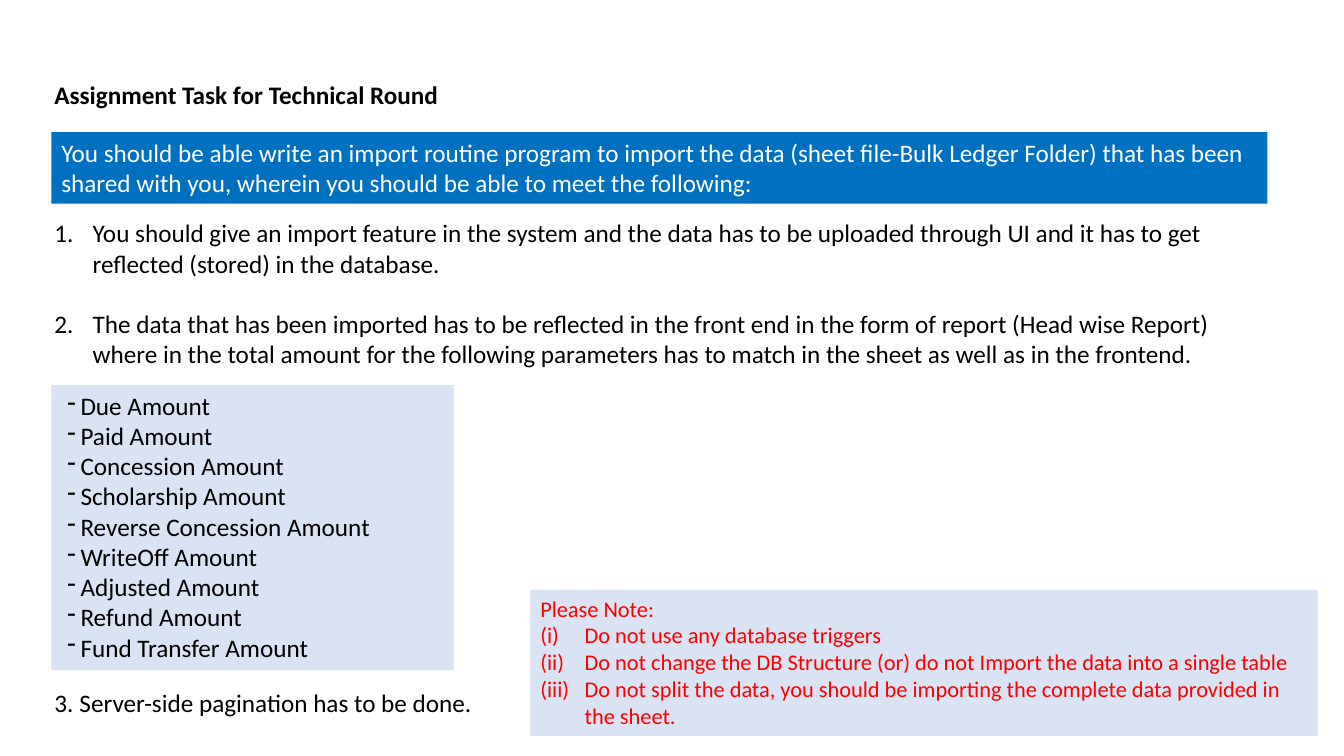
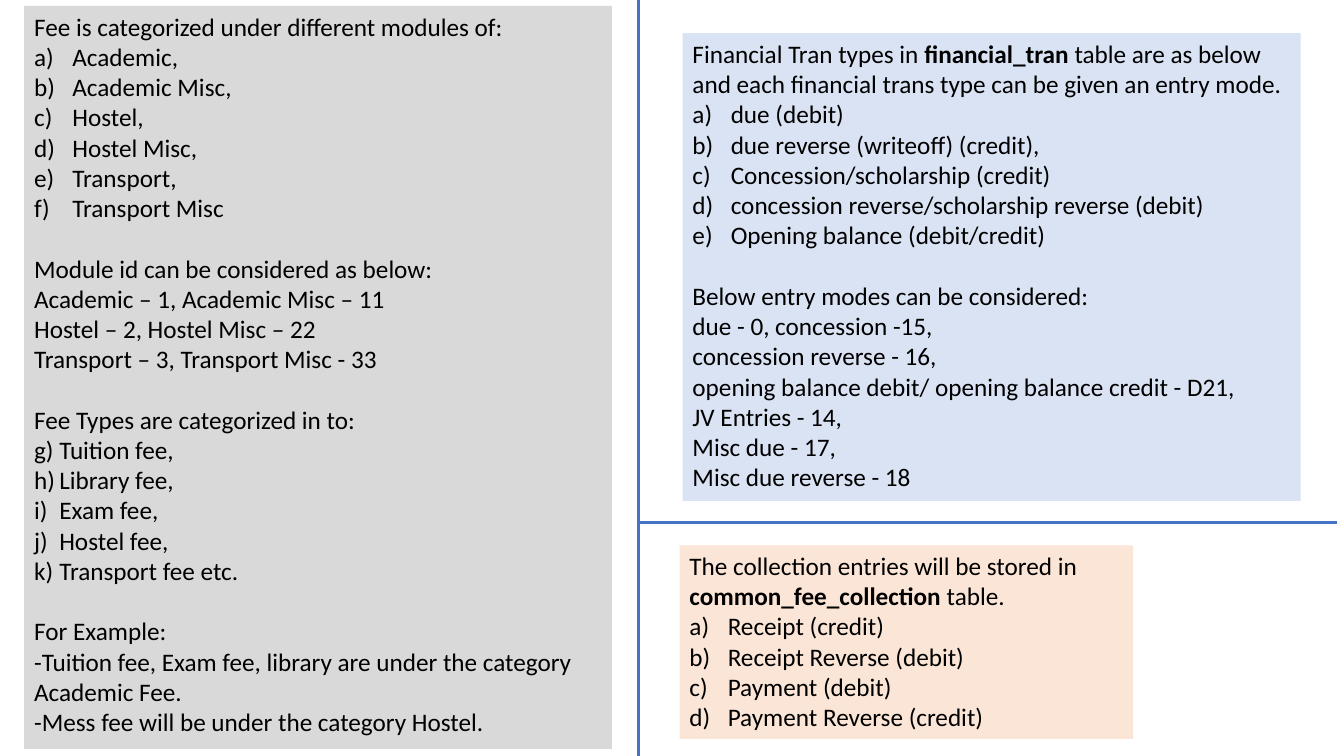
from lxml import etree
from pptx import Presentation
from pptx.dml.color import RGBColor
from pptx.enum.shapes import MSO_CONNECTOR as Connector
from pptx.enum.text import MSO_ANCHOR as Anchor, MSO_AUTO_SIZE as AutoSize, PP_ALIGN as Align
from pptx.oxml.ns import qn
from pptx.util import Inches, Pt

COLORS = {
    "text": "000000",
    "light_text": "FFFFFF",
    "warning": "FF0000",
    "banner": "0070C0",
    "blue_panel": "DAE3F3",
    "gray_panel": "D9D9D9",
    "peach_panel": "FBE5D6",
    "divider": "4472C4",
}
FONT = "Calibri"
BODY_SIZE = 18
BLANK_LAYOUT = 6

LISTS = {
    "number": {"left": 0.38, "hang": 0.38, "scheme": "arabicPeriod"},
    "tight_number": {"left": 0.25, "hang": 0.25, "scheme": "arabicPeriod"},
    "letter": {"left": 0.38, "hang": 0.38, "scheme": "alphaLcParenR"},
    "tight_letter": {"left": 0.25, "hang": 0.25, "scheme": "alphaLcParenR"},
    "roman": {"left": 0.44, "hang": 0.44, "scheme": "romanLcParenBoth"},
    "dash": {"left": 0.19, "hang": 0.13, "char": "-"},
}


def color(name):
    return RGBColor.from_string(COLORS[name])


def set_list(paragraph, style, start):
    rule = LISTS[style]
    properties = paragraph._p.get_or_add_pPr()
    properties.set("marL", str(Inches(rule["left"])))
    properties.set("indent", str(-Inches(rule["hang"])))
    if "char" in rule:
        etree.SubElement(properties, qn("a:buChar"), char=rule["char"])
        return
    numbering = etree.SubElement(properties, qn("a:buAutoNum"), type=rule["scheme"])
    if start > 1:
        numbering.set("startAt", str(start))


def lines(*texts, style=None, gap=0, start=1):
    return [
        {"text": text, "style": style, "gap": gap if index == 0 else 0, "start": start}
        for index, text in enumerate(texts)
    ]


def add_runs(paragraph, text, size, text_color, bold):
    for index, part in enumerate(text.split("**")):
        if part:
            run = paragraph.add_run()
            run.text = part
            run.font.name = FONT
            run.font.size = Pt(size)
            run.font.bold = bold or index % 2 == 1
            run.font.color.rgb = color(text_color)


def add_text(slide, box, content, fill=None, text_color="text", size=BODY_SIZE, bold=False):
    shape = slide.shapes.add_textbox(*map(Inches, box))
    if fill:
        shape.fill.solid()
        shape.fill.fore_color.rgb = color(fill)
    frame = shape.text_frame
    frame.word_wrap = True
    frame.auto_size = AutoSize.SHAPE_TO_FIT_TEXT
    frame.vertical_anchor = Anchor.TOP
    for index, line in enumerate(content):
        paragraph = frame.add_paragraph() if index else frame.paragraphs[0]
        paragraph.alignment = Align.LEFT
        if line["gap"]:
            paragraph.space_before = Pt(line["gap"])
        if line["style"]:
            set_list(paragraph, line["style"], line["start"])
        add_runs(paragraph, line["text"], size, text_color, bold)


def add_divider(slide, *ends):
    connector = slide.shapes.add_connector(Connector.STRAIGHT, *map(Inches, ends))
    connector.line.color.rgb = color("divider")
    connector.line.width = Pt(2)
    etree.SubElement(connector._element.spPr, qn("a:effectLst"))


def build_task_slide(slide):
    add_text(slide, (0.44, 0.74, 10.85, 0.4), lines("Assignment Task for Technical Round"), bold=True)
    add_text(
        slide, (5.26, 5.85, 7.81, 1.45),
        lines("Please Note:")
        + lines(
            "Do not use any database triggers",
            "Do not change the DB Structure (or) do not Import the data into a single table",
            "Do not split the data, you should be importing the complete data provided in the sheet.",
            style="roman",
        ),
        fill="blue_panel", text_color="warning", size=16,
    )
    amounts = ("Due", "Paid", "Concession", "Scholarship", "Reverse Concession",
               "WriteOff", "Adjusted", "Refund", "Fund Transfer")
    add_text(
        slide, (0.51, 3.82, 3.99, 2.83),
        lines(*(f"{name} Amount" for name in amounts), style="dash"),
        fill="blue_panel",
    )
    add_text(
        slide, (0.51, 1.31, 12.06, 0.71),
        lines("You should be able write an import routine program to import the data "
              "(sheet file-Bulk Ledger Folder) that has been shared with you, wherein "
              "you should be able to meet the following:"),
        fill="banner", text_color="light_text",
    )
    add_text(
        slide, (0.44, 2.11, 12.15, 1.62),
        lines("You should give an import feature in the system and the data has to be uploaded "
              "through UI and it has to get reflected (stored) in the database.", style="number")
        + lines("The data that has been imported has to be reflected in the front end in the form "
                "of report (Head wise Report) where in the total amount for the following parameters "
                "has to match in the sheet as well as in the frontend.",
                style="number", gap=21.6),
    )
    add_text(
        slide, (0.44, 6.77, 5.37, 0.4),
        lines("Server-side pagination has to be done.", style="tight_number", start=3),
    )


def build_reference_slide(slide):
    add_text(
        slide, (0.24, 0.06, 5.83, 7.37),
        lines("Fee is categorized under different modules of:")
        + lines("Academic,", "Academic Misc,", "Hostel,", "Hostel Misc,", "Transport,",
                "Transport Misc", style="letter")
        + lines("Module id can be considered as below:",
                "Academic – 1, Academic Misc – 11",
                "Hostel – 2, Hostel Misc – 22",
                "Transport – 3, Transport Misc - 33", gap=21.6)
        + lines("Fee Types are categorized in to:", gap=21.6)
        + lines("Tuition fee,", "Library fee,", "Exam fee,", "Hostel fee,",
                "Transport fee etc.", style="tight_letter")
        + lines("For Example:",
                "-Tuition fee, Exam fee, library are under the category Academic Fee.",
                "-Mess fee will be under the category Hostel.", gap=21.6),
        fill="gray_panel",
    )
    add_text(
        slide, (6.77, 0.33, 6.13, 4.64),
        lines("Financial Tran types in **financial_tran **table are as below and each "
              "financial trans type can be given an entry mode.")
        + lines("due (debit)", "due reverse (writeoff) (credit),", "Concession/scholarship (credit)",
                "concession reverse/scholarship reverse (debit)",
                "Opening balance (debit/credit)", style="letter")
        + lines("Below entry modes can be considered:",
                "due - 0, concession -15,",
                "concession reverse - 16,",
                "opening balance debit/ opening balance credit - D21,",
                "JV Entries - 14,",
                "Misc due - 17,",
                "Misc due reverse - 18", gap=21.6),
        fill="blue_panel",
    )
    add_text(
        slide, (6.74, 5.41, 4.5, 1.92),
        lines("The collection entries will be stored in **common_fee_collection **table.")
        + lines("Receipt (credit)", "Receipt Reverse (debit)", "Payment (debit)",
                "Payment Reverse (credit)", style="letter"),
        fill="peach_panel",
    )
    add_divider(slide, 6.33, 0, 6.33, 7.5)
    add_divider(slide, 6.32, 5.18, 13.26, 5.18)


def main():
    presentation = Presentation()
    presentation.slide_width = Inches(13.33)
    presentation.slide_height = Inches(7.5)
    for build in (build_task_slide, build_reference_slide):
        build(presentation.slides.add_slide(presentation.slide_layouts[BLANK_LAYOUT]))
    presentation.save("out.pptx")


if __name__ == "__main__":
    main()
